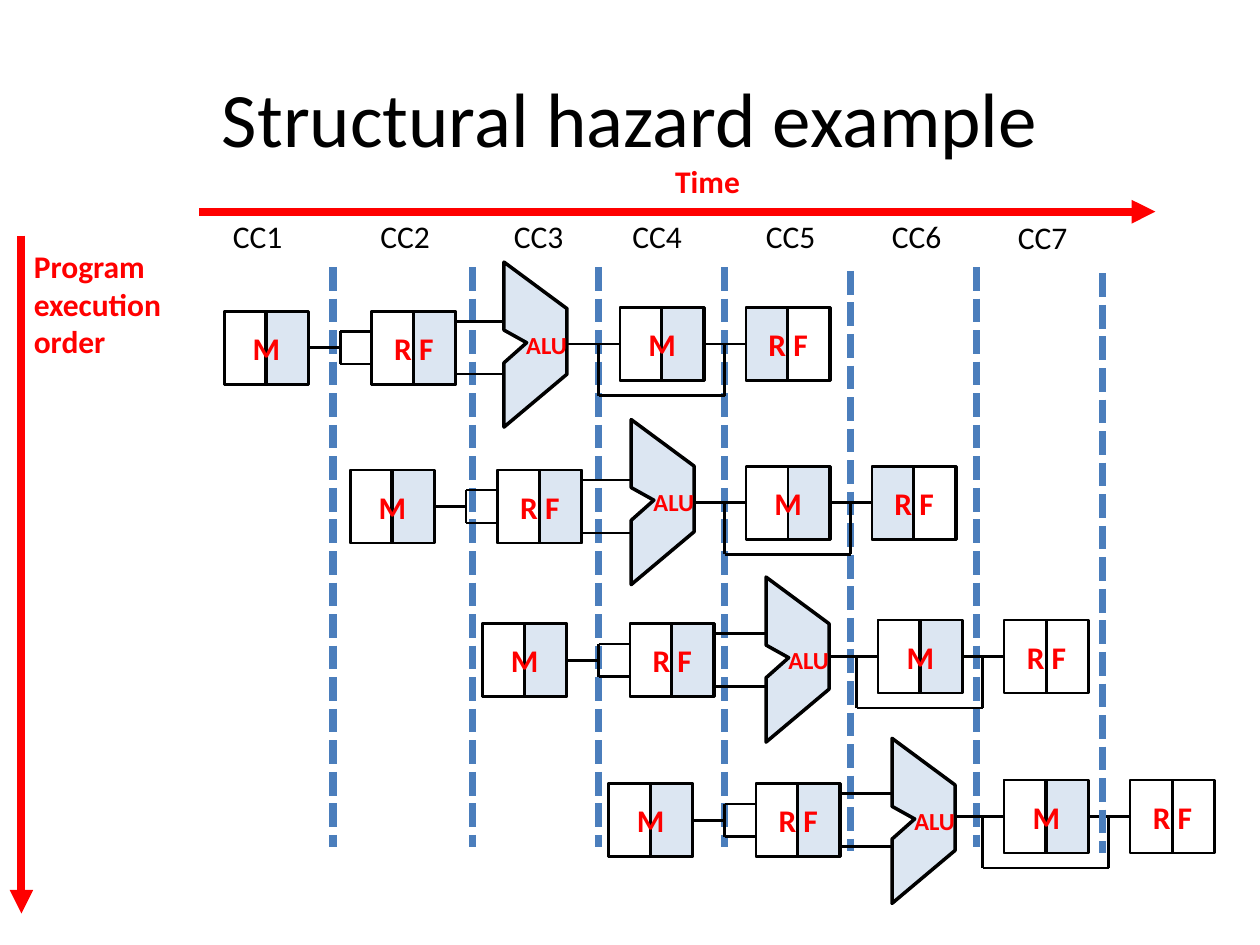
from dataclasses import dataclass

from lxml.etree import SubElement
from pptx import Presentation
from pptx.dml.color import RGBColor
from pptx.enum.dml import MSO_LINE
from pptx.enum.shapes import MSO_CONNECTOR, MSO_SHAPE
from pptx.enum.text import MSO_ANCHOR, MSO_AUTO_SIZE, PP_ALIGN
from pptx.oxml.ns import qn
from pptx.util import Inches, Pt


@dataclass(frozen=True)
class Theme:
    """Colours, font and sizes of the slide."""
    ink: RGBColor = RGBColor(0, 0, 0)
    accent: RGBColor = RGBColor(255, 0, 0)
    shade: RGBColor = RGBColor(0xDC, 0xE6, 0xF2)
    cycle: RGBColor = RGBColor(0x4B, 0x7E, 0xBC)
    font: str = "Calibri"
    title: int = 44
    body: int = 18
    small: int = 14
    thin: float = 1.5
    outline: float = 2
    thick: float = 4.5


@dataclass(frozen=True)
class Instruction:
    """One pipeline row; halves use o for open, s for shaded, - for none."""
    x: float
    y: float
    alu_x: float
    alu_y: float
    memory: str
    write_back: str


T = Theme()
BOX_W, BOX_H, HALF_W = 0.67, 0.58, 0.33
ALU_W = 0.5
ALU_POINTS = [(0, 1.31), (ALU_W, 0.89), (ALU_W, 0.37), (0, 0),
              (0, 0.54), (0.18, 0.64), (0, 0.8)]
ROWS = [
    Instruction(3.83, 4.95, 6.08, 4.58, "os", "-o"),
    Instruction(2.78, 3.73, 5.01, 3.33, "-s", "so"),
    Instruction(1.78, 2.47, 4.0, 2.08, "os", "so"),
    Instruction(4.83, 6.22, 7.08, 5.86, "os", "-o"),
]
# Wires measured from the top left corner of the row's first box.
WIRES = [
    (0.67, 0.29, 0.92, 0.29), (0.92, 0.16, 1.17, 0.16),
    (0.92, 0.42, 1.17, 0.42), (0.92, 0.42, 0.92, 0.16),
    (1.84, 0.08, 2.24, 0.08), (1.84, 0.5, 2.24, 0.5),
    (3.8, 0.26, 4.14, 0.26), (2.97, 0.67, 2.97, 0.27),
    (3.97, 0.67, 3.97, 0.27), (2.97, 0.67, 3.97, 0.67),
]
CYCLE_X = [1.75, 2.92, 3.98, 4.92, 5.98, 6.98, 7.98]
DIVIDERS = [(2.64, 2.12), (3.75, 2.12), (4.75, 2.12), (5.75, 2.12),
            (6.75, 2.15), (7.75, 2.12)]


def write(tf, text: str, *, size: float = T.body, color: RGBColor = T.ink,
          bold: bool = False, align: PP_ALIGN = PP_ALIGN.LEFT) -> None:
    """Put one formatted run into a text frame."""
    p = tf.paragraphs[0]
    p.alignment = align
    r = p.add_run()
    r.text = text
    r.font.name, r.font.size, r.font.bold = T.font, Pt(size), bold
    r.font.color.rgb = color


def add_line(shapes, x1: float, y1: float, x2: float, y2: float, *,
             color: RGBColor = T.ink, width: float = T.thin,
             dashed: bool = False, arrow: bool = False) -> None:
    """Draw a straight line, optionally dashed or with an arrowhead."""
    s = shapes.add_connector(MSO_CONNECTOR.STRAIGHT, Inches(x1), Inches(y1),
                             Inches(x2), Inches(y2))
    s.line.color.rgb, s.line.width = color, Pt(width)
    if dashed:
        s.line.dash_style = MSO_LINE.SQUARE_DOT
    if arrow:
        SubElement(s.line._get_or_add_ln(), qn("a:tailEnd"), type="triangle")
    SubElement(s._element.spPr, qn("a:effectLst"))


def style(s, *, shaded: bool, width: float = T.thin) -> None:
    """Give a shape a black outline and an optional shaded fill."""
    s.shadow.inherit = False
    if shaded:
        s.fill.solid()
        s.fill.fore_color.rgb = T.shade
    else:
        s.fill.background()
    s.line.color.rgb, s.line.width = T.ink, Pt(width)


def add_rect(shapes, x: float, y: float, width: float, shaded: bool = False):
    """Add a box of the common stage height."""
    s = shapes.add_shape(MSO_SHAPE.RECTANGLE, Inches(x), Inches(y),
                         Inches(width), Inches(BOX_H))
    style(s, shaded=shaded)
    return s


def add_stage(shapes, x: float, y: float, text: str, halves: str = "os") -> None:
    """Draw a stage box from its halves and a labelled frame."""
    for i, half in enumerate(halves):
        if half != "-":
            add_rect(shapes, x + i * BOX_W / 2, y, HALF_W, half == "s")
    tf = add_rect(shapes, x, y, BOX_W).text_frame
    tf.vertical_anchor = MSO_ANCHOR.MIDDLE
    write(tf, text, color=T.accent, bold=True, align=PP_ALIGN.CENTER)


def add_alu(shapes, x: float, y: float) -> None:
    """Draw the notched ALU outline with its label."""
    points = [(Inches(x + dx), Inches(y + dy)) for dx, dy in ALU_POINTS]
    fb = shapes.build_freeform(*points[0])
    fb.add_line_segments(points[1:], close=True)
    s = fb.convert_to_shape()
    style(s, shaded=True, width=T.outline)
    tf = s.text_frame
    tf.margin_left = tf.margin_right = tf.margin_top = tf.margin_bottom = 0
    tf.vertical_anchor = MSO_ANCHOR.MIDDLE
    write(tf, "ALU", size=T.small, color=T.accent, bold=True,
          align=PP_ALIGN.RIGHT)


def add_instruction(slide, row: Instruction) -> None:
    """Draw one instruction's pipeline as a group."""
    shapes = slide.shapes.add_group_shape().shapes
    x, y = row.x, row.y
    add_stage(shapes, x, y, "M")
    add_stage(shapes, x + 1.17, y, "R F")
    add_stage(shapes, x + 3.14, y - 0.03, "M", row.memory)
    add_stage(shapes, x + 4.14, y - 0.03, "R F", row.write_back)
    for x1, y1, x2, y2 in WIRES:
        add_line(shapes, x + x1, y + y1, x + x2, y + y2)
    add_line(shapes, row.alu_x + ALU_W, y + 0.26, x + 3.14, y + 0.26)
    add_alu(shapes, row.alu_x, row.alu_y)


def add_label(slide, text: str, x: float, y: float, w: float, h: float = 0.4,
              *, wrap: bool = False, **fmt) -> None:
    """Add a text box."""
    tf = slide.shapes.add_textbox(Inches(x), Inches(y), Inches(w),
                                  Inches(h)).text_frame
    tf.word_wrap = wrap
    tf.auto_size = MSO_AUTO_SIZE.SHAPE_TO_FIT_TEXT
    write(tf, text, **fmt)


def add_divider(slide, x: float, y: float) -> None:
    """Draw a dashed clock cycle boundary."""
    add_line(slide.shapes, x, y, x, y + 4.6, color=T.cycle, width=T.thick,
             dashed=True)


def main() -> None:
    """Build and save the slide."""
    prs = Presentation()
    prs.slide_width, prs.slide_height = Inches(10), Inches(7.5)
    slide = prs.slides.add_slide(prs.slide_layouts[5])
    title = slide.shapes.title
    title.left, title.top = Inches(0.5), Inches(0.3)
    title.width, title.height = Inches(9), Inches(1.25)
    title.text_frame.vertical_anchor = MSO_ANCHOR.MIDDLE
    write(title.text_frame, "Structural hazard example", size=T.title,
          align=PP_ALIGN.CENTER)

    for x, y in DIVIDERS:
        add_divider(slide, x, y)
    for row in ROWS[:3]:
        add_instruction(slide, row)
    for i, x in enumerate(CYCLE_X, 1):
        add_label(slide, f"CC{i}", x, 1.68 if i == 7 else 1.67, 0.6)

    axis = dict(color=T.accent, width=T.thick, arrow=True)
    caption = dict(color=T.accent, bold=True)
    add_line(slide.shapes, 1.58, 1.68, 9.17, 1.68, **axis)
    add_label(slide, "Time", 5.26, 1.24, 0.72, **caption)
    add_line(slide.shapes, 0.17, 1.87, 0.17, 7.25, **axis)
    add_label(slide, "Program execution order", 0.17, 1.91, 1.67, 1.01,
              wrap=True, **caption)

    add_instruction(slide, ROWS[3])
    add_divider(slide, 8.75, 2.17)
    prs.save("out.pptx")


main()
